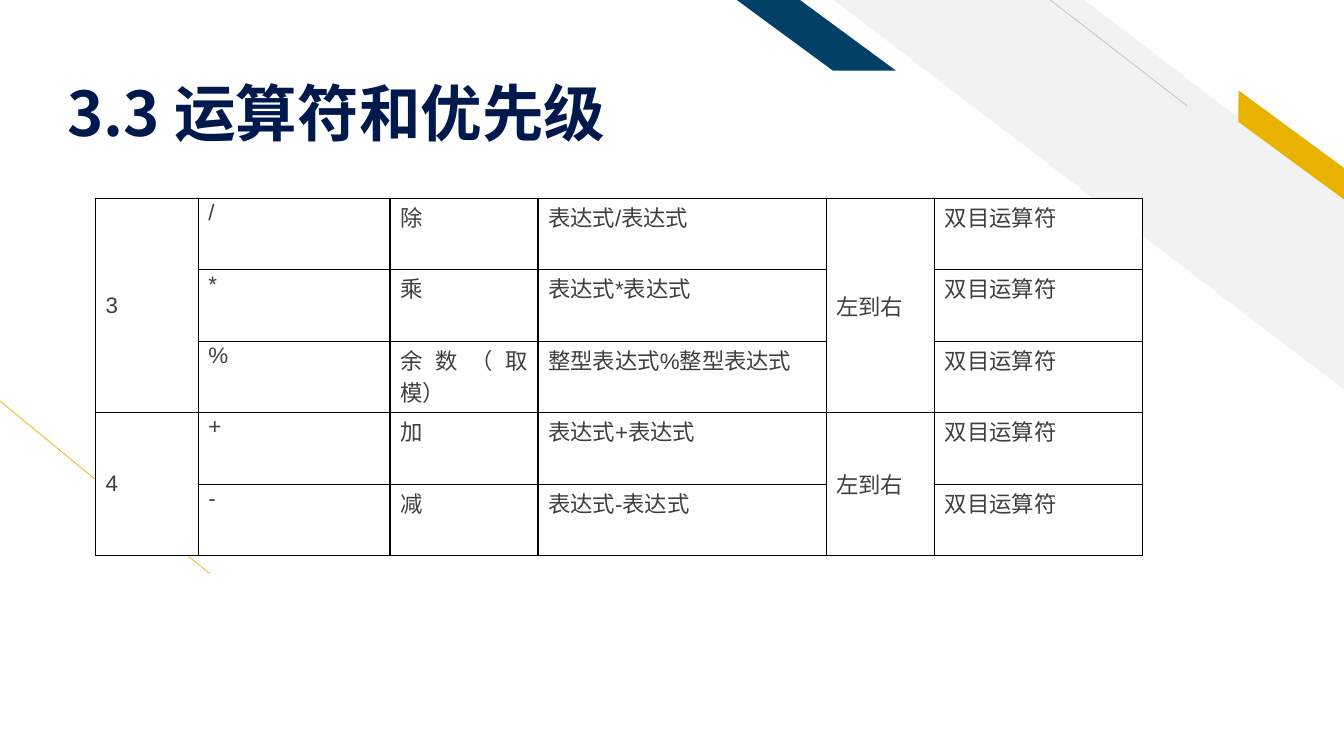
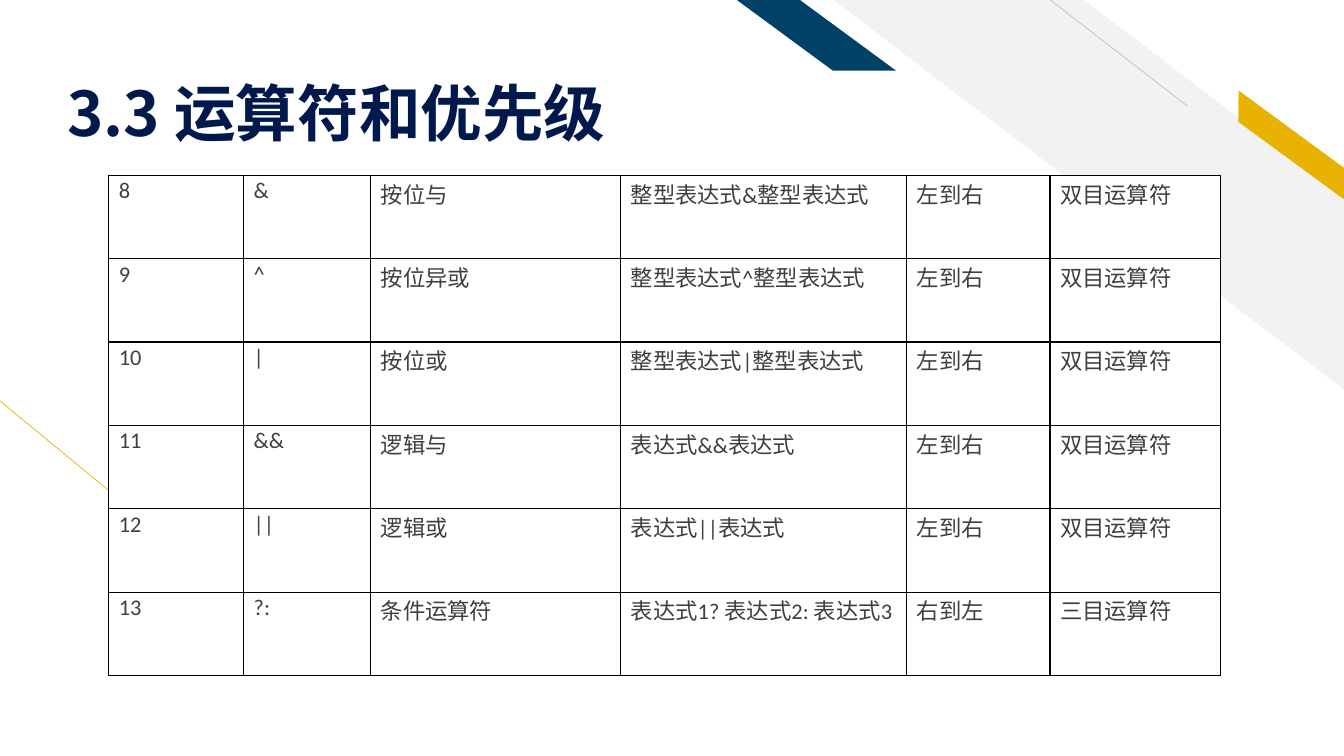
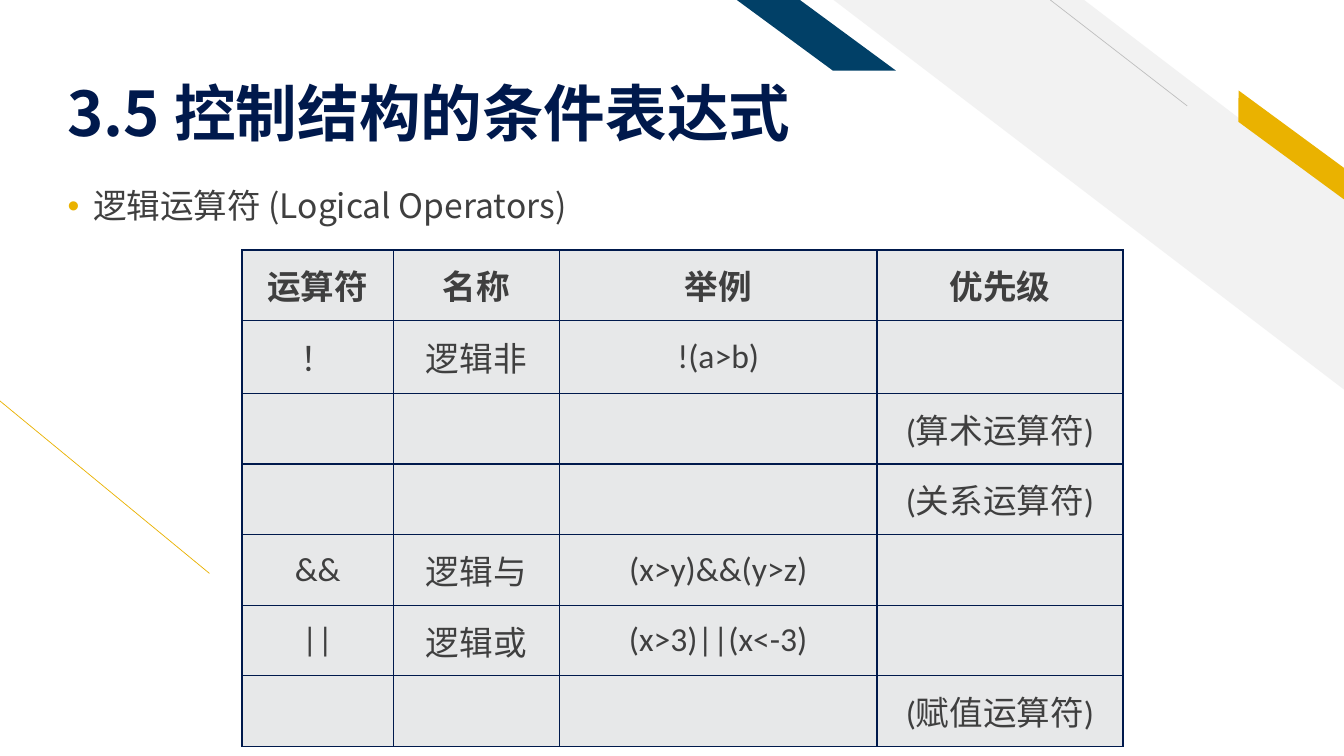
from lxml import etree
from pptx import Presentation
from pptx.dml.color import RGBColor
from pptx.enum import shapes, text
from pptx.oxml import ns
from pptx.util import Cm, Pt

NAVY = RGBColor(0x00, 0x19, 0x4C)
BLUE = RGBColor(0x01, 0x40, 0x67)
GOLD = RGBColor(0xEA, 0xB2, 0x00)
PALE = RGBColor(0xF2, 0xF2, 0xF2)
GREY = RGBColor(0xBF, 0xBF, 0xBF)
CELL = RGBColor(0xE7, 0xE8, 0xE9)
INK = RGBColor(0x3F, 0x3F, 0x3F)
WHITE = RGBColor(0xFF, 0xFF, 0xFF)
BLACK = RGBColor(0x00, 0x00, 0x00)
HAN = "Noto Sans CJK SC"

LTR, RTL, BINARY = "左到右", "右到左", "双目运算符"

# None marks a cell covered by the merged cell above it
MATH = [
    ["3", "/", "除", "表达式/表达式", LTR, BINARY],
    [None, "*", "乘", "表达式*表达式", None, BINARY],
    [None, "%", "余数（取模）", "整型表达式%整型表达式", None, BINARY],
    ["4", "+", "加", "表达式+表达式", LTR, BINARY],
    [None, "-", "减", "表达式-表达式", None, BINARY],
]
BITS = [
    ["8", "&", "按位与", "整型表达式&整型表达式", LTR, BINARY],
    ["9", "^", "按位异或", "整型表达式^整型表达式", LTR, BINARY],
    ["10", "|", "按位或", "整型表达式|整型表达式", LTR, BINARY],
    ["11", "&&", "逻辑与", "表达式&&表达式", LTR, BINARY],
    ["12", "||", "逻辑或", "表达式||表达式", LTR, BINARY],
    ["13", "?:", "条件运算符", "表达式1? 表达式2: 表达式3", RTL, "三目运算符"],
]
LOGIC = [
    ["运算符", "名称", "举例", "优先级"],
    ["！", "逻辑非", "!(a>b)", ""],
    ["", "", "", "(算术运算符)"],
    ["", "", "", "(关系运算符)"],
    ["&&", "逻辑与", "(x>y)&&(y>z)", ""],
    ["||", "逻辑或", "(x>3)||(x<-3)", ""],
    ["", "", "", "(赋值运算符)"],
]


def add_xml(node, tag, **attrs):
    return etree.SubElement(node, ns.qn(tag), attrs)


def style(para, size, color, face=HAN, bold=False):
    for run in para.runs:
        font = run.font
        font.size, font.bold, font.name = Pt(size), bold, face
        font.color.rgb = color
        add_xml(run._r.get_or_add_rPr(), "a:ea", typeface=HAN)


def place(shape, left, top, width, height):
    shape.left, shape.top = Cm(left), Cm(top)
    shape.width, shape.height = Cm(width), Cm(height)


def add_line(slide, x1, y1, x2, y2, color):
    line = slide.shapes.add_connector(
        shapes.MSO_CONNECTOR.STRAIGHT, Cm(x1), Cm(y1), Cm(x2), Cm(y2))
    line.line.color.rgb = color
    line.line.width = Pt(0.5)
    add_xml(line.element.spPr, "a:effectLst")
    return line


def add_band(slide, kind, box, adjust, color, turn=0):
    """Add a slanted band, mirrored left to right."""
    band = slide.shapes.add_shape(kind, *map(Cm, box))
    band.adjustments[0] = adjust
    band.rotation = turn
    band.element.spPr.xfrm.set("flipH", "1")
    band.shadow.inherit = False
    band.fill.solid()
    band.fill.fore_color.rgb = color
    band.line.fill.background()
    return band


def add_decor(deck, slide):
    """Draw the bands and lines, then move them to the slide master."""
    kind = shapes.MSO_SHAPE
    decor = [
        add_line(slide, 5.28, 14.45, -0.03, 10.08, GOLD),
        add_band(slide, kind.DIAGONAL_STRIPE, (21.01, 0, 12.88, 9.83), 0.51, PALE),
        add_line(slide, 29.92, 2.67, 26.47, 0, GREY),
        add_band(slide, kind.PARALLELOGRAM, (30.66, 3.33, 3.76, 0.64), 0.72, GOLD, 36.3),
        add_band(slide, kind.PARALLELOGRAM, (18.57, 0, 4.01, 1.78), 1.36, BLUE),
    ]
    tree = deck.slide_master.element.cSld.spTree
    for pos, shape in enumerate(decor, 2):
        tree.insert(pos, shape.element)


def set_title(slide, words):
    title = slide.shapes.title
    place(title, 1.45, 0.58, 23.14, 3.2)
    frame = title.text_frame
    frame.text = words
    frame.auto_size = text.MSO_AUTO_SIZE.NONE
    frame.vertical_anchor = text.MSO_ANCHOR.BOTTOM
    frame.margin_bottom = 0
    para = frame.paragraphs[0]
    para.alignment = text.PP_ALIGN.LEFT
    para.line_spacing = 0.9
    style(para, 44, NAVY, bold=True)


def set_body(slide, words):
    body = slide.placeholders[1]
    place(body, 1.45, 4.65, 30.1, 12.52)
    frame = body.text_frame
    frame.text = words
    frame.auto_size = text.MSO_AUTO_SIZE.NONE
    para = frame.paragraphs[0]
    para.line_spacing = 0.9
    para.space_before = Pt(10)
    props = para._p.get_or_add_pPr()
    props.set("marL", str(Cm(0.64)))
    props.set("indent", str(-Cm(0.64)))
    tint = add_xml(props, "a:buClr")
    add_xml(tint, "a:srgbClr", val=str(GOLD))
    add_xml(props, "a:buFont", typeface="Arial")
    add_xml(props, "a:buChar", char="•")
    style(para, 24, INK)


def set_edges(cell, color):
    props = cell._tc.get_or_add_tcPr()
    for side in ("L", "R", "T", "B"):
        edge = add_xml(props, "a:ln" + side, w=str(Pt(1)))
        fill = add_xml(edge, "a:solidFill")
        add_xml(fill, "a:srgbClr", val=str(color))


def add_grid(slide, left, top, widths, height, rows, edge, fill):
    """Add a bordered table with text; return the table."""
    frame = slide.shapes.add_table(
        len(rows), len(widths), Cm(left), Cm(top),
        Cm(sum(widths)), Cm(height * len(rows)))
    table = frame.table
    table.first_row = table.horz_banding = False
    for col, width in zip(table.columns, widths):
        col.width = Cm(width)
    for r, row in enumerate(rows):
        table.rows[r].height = Cm(height)
        for c, words in enumerate(row):
            cell = table.cell(r, c)
            set_edges(cell, edge)
            cell.fill.solid()
            cell.fill.fore_color.rgb = fill
            if words:
                cell.text_frame.text = words
    return table


def format_list(table, face):
    """Set small justified text in tight cells."""
    for cell in table.iter_cells():
        cell.margin_top = cell.margin_bottom = Cm(0.05)
        para = cell.text_frame.paragraphs[0]
        para.alignment = text.PP_ALIGN.JUSTIFY
        style(para, 16, INK, face)


def format_chart(table):
    """Set large centred text with a bold first row."""
    cols = len(table.columns)
    for pos, cell in enumerate(table.iter_cells()):
        cell.vertical_anchor = text.MSO_ANCHOR.MIDDLE
        para = cell.text_frame.paragraphs[0]
        para.alignment = text.PP_ALIGN.CENTER
        para.space_before = Pt(8)
        style(para, 24, INK, "Calibri", bold=pos < cols)


def merge_down(table, first, last, col):
    cell = table.cell(first, col)
    cell.merge(table.cell(last, col))
    cell.vertical_anchor = text.MSO_ANCHOR.MIDDLE


def add_slide(deck, layout, title):
    slide = deck.slides.add_slide(deck.slide_layouts[layout])
    set_title(slide, title)
    return slide


def main():
    deck = Presentation()
    deck.slide_width, deck.slide_height = Cm(33.87), Cm(19.05)

    slide = add_slide(deck, 5, "3.3 运算符和优先级")
    add_decor(deck, slide)
    table = add_grid(slide, 2.41, 5, (2.59, 4.83, 3.73, 7.26, 2.74, 5.23),
                     1.8, MATH, BLACK, WHITE)
    format_list(table, "Arial")
    for col in (0, 4):
        merge_down(table, 0, 2, col)
        merge_down(table, 3, 4, col)

    slide = add_slide(deck, 5, "3.3 运算符和优先级")
    table = add_grid(slide, 2.74, 4.42, (3.4, 3.2, 6.3, 7.21, 3.61, 4.29),
                     2.1, BITS, BLACK, WHITE)
    format_list(table, "Calibri")

    slide = add_slide(deck, 1, "3.5 控制结构的条件表达式")
    set_body(slide, "逻辑运算符 (Logical Operators)")
    table = add_grid(slide, 6.1, 6.3, (3.81, 4.19, 8, 6.2),
                     1.78, LOGIC, NAVY, CELL)
    table.rows[1].height = Cm(1.83)
    format_chart(table)

    deck.save("out.pptx")


if __name__ == "__main__":
    main()
